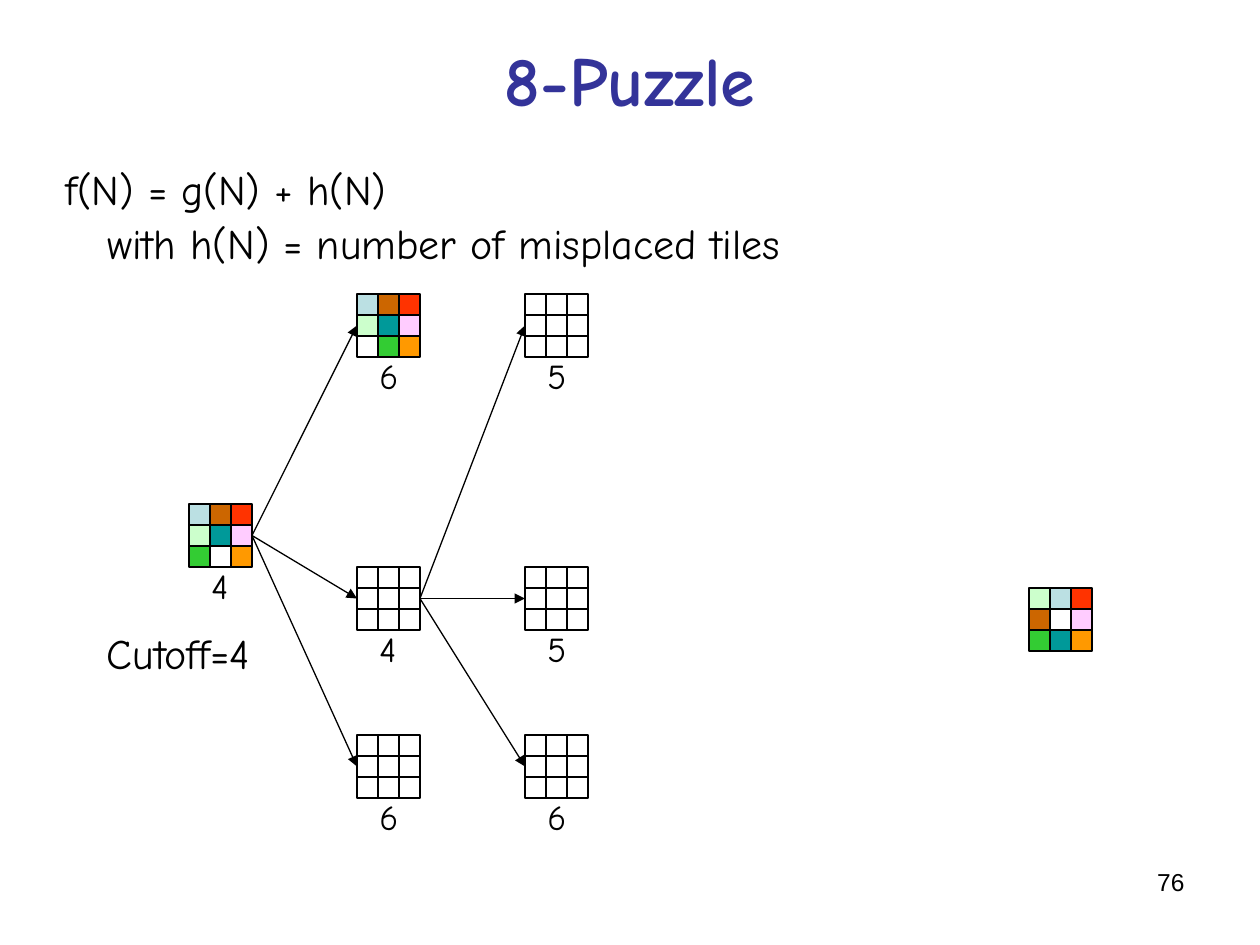
from lxml import etree
from pptx import Presentation
from pptx.dml.color import RGBColor
from pptx.enum.shapes import MSO_CONNECTOR, MSO_SHAPE
from pptx.enum.text import MSO_ANCHOR, MSO_AUTO_SIZE, PP_ALIGN
from pptx.oxml.ns import qn
from pptx.util import Inches, Pt

RECT, LINE = MSO_SHAPE.RECTANGLE, MSO_CONNECTOR.STRAIGHT
LEFT, MID, RIGHT = PP_ALIGN.LEFT, PP_ALIGN.CENTER, PP_ALIGN.RIGHT
NONE = MSO_AUTO_SIZE.NONE
FONT, BLACK, WHITE = "Comic Neue", "000000", "FFFFFF"

TITLE = "8-Puzzle"
BODY = ["f(N) = g(N) + h(N)", "with h(N) = number of misplaced tiles"]
CUTOFF = "Cutoff=4"
PAGE = "76"

CELL = 1 / 6  # one tile; boards sit on a grid of this pitch
SIDE = 3      # tiles along a board
COLORS = {"b": "BBE0E3", "n": "CC6600", "r": "FF3300", "l": "CCFFCC",
          "t": "009999", "p": "FFCCFF", "g": "33CC33", "o": "FF9900",
          ".": WHITE}
BLANK = "." * SIDE ** 2
# name: (column, row, tiles row by row, cost)
BOARDS = {
    "root": (9, 24, "bnrltpg.o", "4"),
    "up": (17, 14, "bnrltp.go", "6"),
    "mid": (17, 27, BLANK, "4"),
    "low": (17, 35, BLANK, "6"),
    "mid up": (25, 14, BLANK, "5"),
    "mid mid": (25, 27, BLANK, "5"),
    "mid low": (25, 35, BLANK, "6"),
    "goal": (49, 28, "lbrn.pgto", ""),
}
ARROWS = [("root", "up"), ("root", "mid"), ("root", "low"),
          ("mid", "mid up"), ("mid", "mid mid"), ("mid", "mid low")]


def color(code):
    return RGBColor.from_string(code)


def place(shape, box):
    shape.left, shape.top, shape.width, shape.height = map(Inches, box)


def write(shape, lines, size=20, font=FONT, ink=BLACK, bold=False,
          align=LEFT, wrap=False, gap=0):
    frame = shape.text_frame
    frame.auto_size = NONE
    frame.word_wrap = wrap
    frame.text = "\n".join(lines)
    for i, par in enumerate(frame.paragraphs):
        par.alignment = align
        par.space_before = Pt(gap if i else 0)
        par.font.size, par.font.name, par.font.bold = Pt(size), font, bold
        par.font.color.rgb = color(ink)


def label(slide, text, box, **style):
    shape = slide.shapes.add_textbox(*map(Inches, box))
    write(shape, [text], **style)
    return shape


def board(slide, col, row, tiles, cost):
    x, y = col * CELL, row * CELL
    if cost:
        tag = label(slide, cost, (x + 0.08, y + 0.43, 0.37, 0.43))
        if tiles == BLANK:
            tag.fill.solid()
            tag.fill.fore_color.rgb = color(WHITE)
    for i, key in enumerate(tiles):
        down, over = divmod(i, SIDE)
        box = (x + over * CELL, y + down * CELL, CELL, CELL)
        tile = slide.shapes.add_shape(RECT, *map(Inches, box))
        tile.shadow.inherit = False
        tile.fill.solid()
        tile.fill.fore_color.rgb = color(COLORS[key])
        tile.line.color.rgb = color(BLACK)
        tile.line.width = Pt(0.75)


def arrow(slide, start, end):
    """Join the right side of one board to the left side of another."""
    (c1, r1), (c2, r2) = BOARDS[start][:2], BOARDS[end][:2]
    half = SIDE / 2
    ends = (c1 + SIDE, r1 + half, c2, r2 + half)
    link = slide.shapes.add_connector(LINE, *(Inches(v * CELL) for v in ends))
    link.line.color.rgb = color(BLACK)
    link.line.width = Pt(0.75)
    props = link._element.spPr
    etree.SubElement(props.find(qn("a:ln")), qn("a:tailEnd"), type="triangle")
    etree.SubElement(props, qn("a:effectLst"))


def plain(par, indent):
    """Take the bullet off a paragraph and set its left indent."""
    props = par._p.get_or_add_pPr()
    props.set("marL", str(Inches(indent)))
    props.set("indent", "0")
    spot = props.find(qn("a:defRPr"))
    spot.addprevious(etree.Element(qn("a:buNone")))


def main():
    deck = Presentation()
    deck.slide_width, deck.slide_height = Inches(10), Inches(7.5)
    slide = deck.slides.add_slide(deck.slide_layouts[1])

    title, body = slide.placeholders
    place(title, (0.5, 0, 9, 1.25))
    write(title, [TITLE], size=40, ink="333399", bold=True, align=MID,
          wrap=True)
    title.text_frame.vertical_anchor = MSO_ANCHOR.MIDDLE
    place(body, (0.42, 1.25, 6.32, 0.9))
    write(body, BODY, size=24, wrap=True, gap=2)
    for par, indent in zip(body.text_frame.paragraphs, (0, 0.33)):
        plain(par, indent)

    for item in BOARDS.values():
        board(slide, *item)
    for pair in ARROWS:
        arrow(slide, *pair)
    label(slide, CUTOFF, (0.75, 4.93, 1.62, 0.5), size=24)
    label(slide, PAGE, (7.17, 6.83, 2.33, 0.52), size=14, font="Arial",
          align=RIGHT, wrap=True)
    deck.save("out.pptx")


if __name__ == "__main__":
    main()
